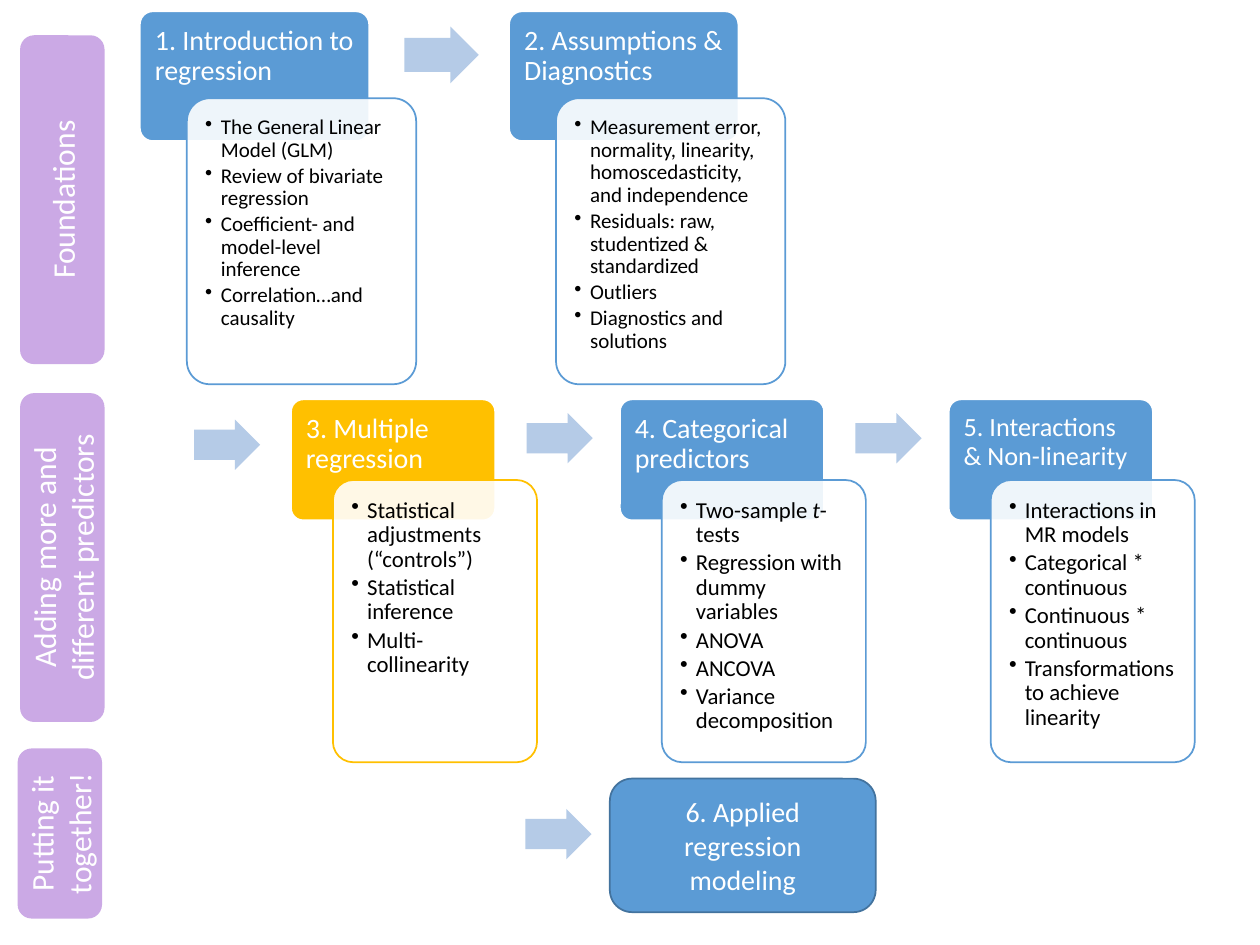
"""Build a one-slide map of a regression course."""
import dataclasses
import typing

import lxml.etree
import pptx
import pptx.dml.color
import pptx.enum.shapes
import pptx.enum.text
import pptx.oxml.ns
import pptx.shapes.autoshape
import pptx.util

KIND = pptx.enum.shapes.MSO_SHAPE
ALIGN = pptx.enum.text.PP_ALIGN
ANCHOR = pptx.enum.text.MSO_ANCHOR
Shape = pptx.shapes.autoshape.Shape


@dataclasses.dataclass(frozen=True)
class Theme:
    """Hold the colours, font and type sizes."""
    font: str = "Calibri"
    blue: str = "5B9BD5"
    edge: str = "43739E"
    gold: str = "FFC000"
    pale: str = "B5CBE7"
    mauve: str = "CBA9E5"
    white: str = "FFFFFF"
    black: str = "000000"
    head: float = 16
    small: float = 15
    label: float = 18


class Run(typing.NamedTuple):
    """A stretch of text in one style."""
    text: str
    slant: bool = False


class Box(typing.NamedTuple):
    """A frame in columns and rows of the grid."""
    left: float
    top: float
    wide: float
    tall: float


class Para(typing.NamedTuple):
    """The look of a paragraph."""
    size: float
    tint: str
    align: typing.Any = ALIGN.LEFT
    lead: float = 1.0
    after: float = 0.0
    mark: bool = False


class Card(typing.NamedTuple):
    """A lesson with its heading and points."""
    title: str
    points: list[tuple[Run, ...]]
    tint: str
    size: float


class Row(typing.NamedTuple):
    """A line of cards at an equal pitch."""
    left: float
    top: float
    pitch: float
    wide: float
    head: float
    drop: float
    tall: float
    size: float
    cards: list[Card]


LOOK = Theme()
deck = pptx.Presentation()
deck.slide_width = pptx.util.Inches(10)
deck.slide_height = pptx.util.Inches(7.5)
CELL = deck.slide_width / 100
slide = deck.slides.add_slide(deck.slide_layouts[6])


def grid(*cells: float) -> list[int]:
    """Turn grid cells into slide units."""
    return [round(cell * CELL) for cell in cells]


def color(tint: str) -> pptx.dml.color.RGBColor:
    """Read a colour from its hex form."""
    return pptx.dml.color.RGBColor.from_string(tint)


def draw(kind: typing.Any, box: Box, fill: str, line: str = "",
         bends: tuple[float, ...] = ()) -> Shape:
    """Draw a flat preset shape."""
    shape = slide.shapes.add_shape(kind, *grid(*box))
    shape.shadow.inherit = False
    shape.fill.solid()
    shape.fill.fore_color.rgb = color(fill)
    if line:
        shape.line.color.rgb = color(line)
        shape.line.width = pptx.util.Pt(1)
    else:
        shape.line.fill.background()
    for spot, bend in enumerate(bends):
        shape.adjustments[spot] = bend
    return shape


def fade(shape: Shape, share: int) -> None:
    """Set how solid the fill is, in percent."""
    tone = shape._element.spPr.xpath("./a:solidFill/a:srgbClr")[0]
    alpha = lxml.etree.SubElement(tone, pptx.oxml.ns.qn("a:alpha"))
    alpha.set("val", str(share * 1000))


def write(shape: Shape, lines: list[tuple[Run, ...]], look: Para,
          inset: int | None = None) -> None:
    """Write paragraphs run by run into a shape."""
    frame = shape.text_frame
    frame.word_wrap = True
    frame.vertical_anchor = ANCHOR.MIDDLE if inset is None else ANCHOR.TOP
    if inset is not None:
        frame.margin_left = frame.margin_right = inset
        frame.margin_top = frame.margin_bottom = inset
    for spot, line in enumerate(lines):
        para = frame.add_paragraph() if spot else frame.paragraphs[0]
        para.alignment = look.align
        para.line_spacing = look.lead
        para.space_after = pptx.util.Pt(look.after * look.size)
        if look.mark:
            para.level = 1
            props = para._p.get_or_add_pPr()
            dent = grid(1.25)[0]
            props.set("marL", str(dent))
            props.set("indent", str(-dent))
            mark = lxml.etree.SubElement(props, pptx.oxml.ns.qn("a:buChar"))
            mark.set("char", "•")
        for part in line:
            run = para.add_run()
            run.text = part.text
            run.font.name = LOOK.font
            run.font.size = pptx.util.Pt(look.size)
            run.font.color.rgb = color(look.tint)
            if part.slant:
                run.font.italic = True


def arrow(left: float, top: float, wide: float) -> None:
    """Draw an arrow sized by the card width."""
    draw(KIND.RIGHT_ARROW, Box(left, top, 0.324 * wide, 0.247 * wide),
         LOOK.pale, bends=(0.6, 0.5))


def lesson(row: Row, left: float, card: Card) -> None:
    """Draw a heading with its list in front."""
    head = draw(KIND.ROUNDED_RECTANGLE, Box(left, row.top, row.wide, row.head),
                card.tint, LOOK.white, (0.1,))
    write(head, [(Run(card.title),)],
          Para(card.size, LOOK.white, lead=0.9, after=0.35), grid(0.9)[0])
    body = draw(KIND.ROUNDED_RECTANGLE,
                Box(left + 0.205 * row.wide, row.top + row.drop, row.wide, row.tall),
                LOOK.white, card.tint, (0.1,))
    fade(body, 90)
    write(body, card.points,
          Para(row.size, LOOK.black, lead=0.9, after=0.15, mark=True),
          pptx.util.Pt(0.55 * row.size))


def chain(row: Row) -> None:
    """Draw a row of cards with arrows between."""
    for spot, card in enumerate(row.cards):
        left = row.left + spot * row.pitch
        if spot:
            arrow(left - row.pitch + 1.154 * row.wide,
                  row.top + 0.067 * row.wide, row.wide)
        lesson(row, left, card)


def label(box: Box, text: str) -> None:
    """Draw a stage name that reads upward."""
    shape = draw(KIND.ROUNDED_RECTANGLE, box, LOOK.mauve)
    write(shape, [(Run(text),)], Para(LOOK.label, LOOK.white, ALIGN.CENTER))
    shape.text_frame._txBody.bodyPr.set("vert", "vert270")


def make(title: str, *points: str | tuple[Run, ...], tint: str = LOOK.blue,
         size: float = LOOK.head) -> Card:
    """Make a card from plain or styled points."""
    return Card(title, [(Run(point),) if isinstance(point, str) else point
                        for point in points], tint, size)


ROWS = [
    Row(11.1, 0.9, 29.3, 18.2, 10.3, 6.9, 22.7, 12, [
        make("1. Introduction to regression", "The General Linear Model (GLM)",
             "Review of bivariate regression",
             "Coefficient- and model-level inference",
             "Correlation…and causality"),
        make("2. Assumptions & Diagnostics",
             "Measurement error, normality, linearity, homoscedasticity, and independence",
             "Residuals: raw, studentized & standardized", "Outliers",
             "Diagnostics and solutions")]),
    Row(23.1, 31.7, 26.1, 16.2, 9.6, 6.4, 22.4, 13, [
        make("3. Multiple regression", "Statistical adjustments (“controls”)",
             "Statistical inference", "Multi-collinearity", tint=LOOK.gold),
        make("4. Categorical predictors",
             (Run("Two-sample "), Run("t", True), Run("-tests")),
             "Regression with dummy variables", "ANOVA", "ANCOVA",
             "Variance decomposition"),
        make("5. Interactions & Non-linearity", "Interactions in MR models",
             "Categorical * continuous", "Continuous * continuous",
             "Transformations to achieve linearity", size=LOOK.small)]),
]
STAGES = [
    (Box(1.6, 2.8, 6.7, 26.1), "Foundations"),
    (Box(1.6, 31.2, 6.7, 26.1), "Adding more and different predictors"),
    (Box(1.4, 59.4, 6.7, 13.5), "Putting it together!"),
]

for row in ROWS:
    chain(row)
last = draw(KIND.ROUNDED_RECTANGLE, Box(48.4, 61.8, 21.1, 10.6), LOOK.blue, LOOK.edge)
write(last, [(Run("6. Applied regression modeling"),)],
      Para(LOOK.head, LOOK.white, ALIGN.CENTER))
for left, top in ((15.4, 33.3), (41.7, 64.2)):
    arrow(left, top, ROWS[1].wide)
for box, text in STAGES:
    label(box, text)
deck.save("out.pptx")
